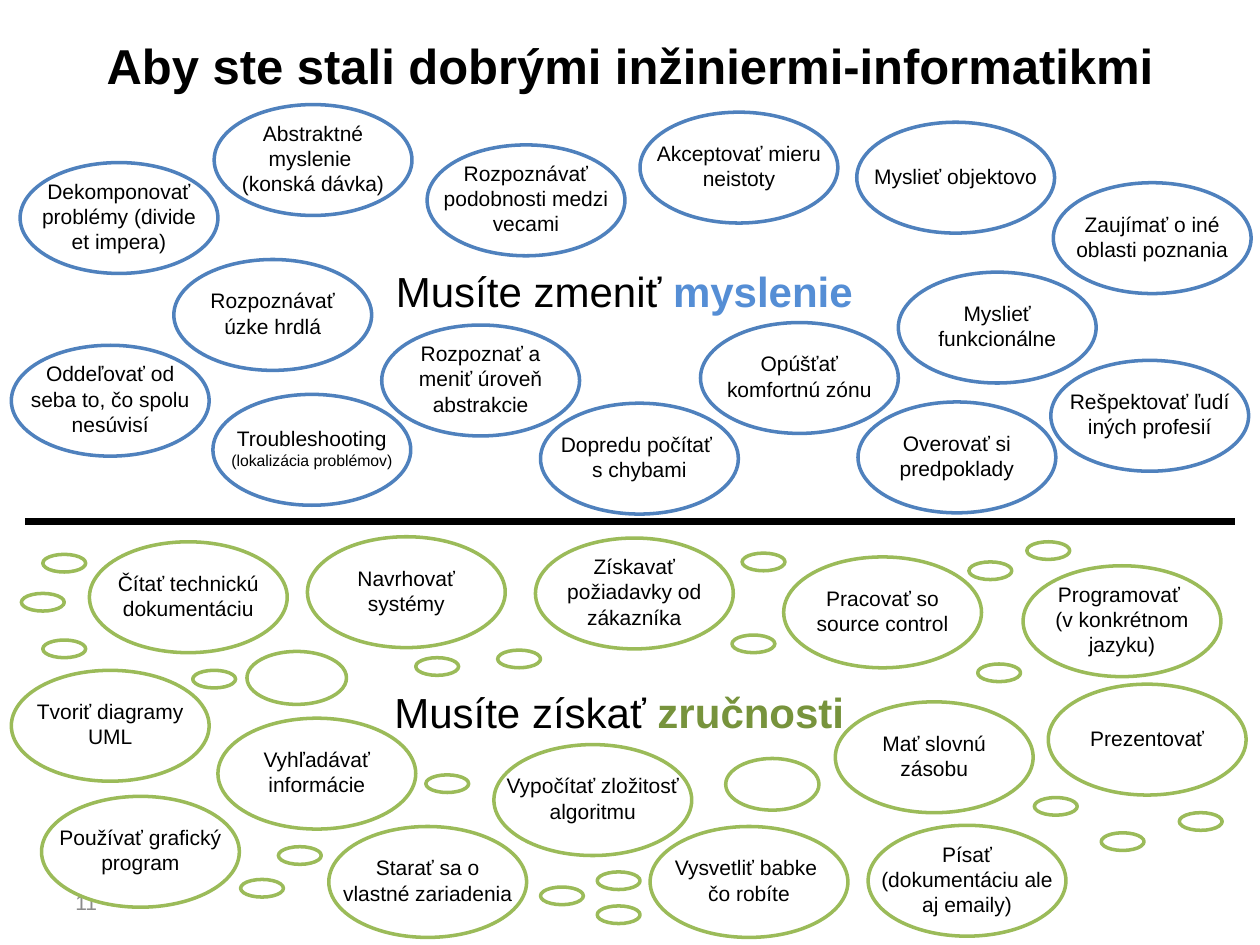
from pptx import Presentation
from pptx.dml.color import RGBColor
from pptx.enum.shapes import MSO_CONNECTOR, MSO_SHAPE
from pptx.enum.text import MSO_ANCHOR, MSO_AUTO_SIZE, PP_ALIGN
from pptx.util import Inches, Pt
from lxml.etree import SubElement
from pptx.oxml.ns import qn

BLACK, WHITE, GREY = "000000", "FFFFFF", "8C8C8C"
BLUE, GREEN = "4F81BD", "9BBB59"
BUBBLE_WIDTH, BUBBLE_HEIGHT = 1.57, 0.88
LINE_HEIGHT, TEXT_MARGINS, TEXT_LIFT = 0.2, 0.1, 0.015

# Left, top, number of text lines, text
THINKING = [
    (0.16, 1.29, 3, "Dekomponovať problémy (divide et impera)"),
    (3.03, 2.58, 3, "Rozpoznať a meniť úroveň abstrakcie"),
    (3.39, 1.15, 3, "Rozpoznávať podobnosti medzi vecami"),
    (6.8, 0.97, 1, "Myslieť objektovo"),
    (7.13, 2.16, 2, "Myslieť funkcionálne"),
    (6.81, 3.19, 2, "Overovať si predpoklady"),
    (1.38, 2.06, 2, "Rozpoznávať úzke hrdlá"),
    (8.36, 1.45, 2, "Zaujímať o iné oblasti poznania"),
    (1.7, 0.83, 3, "Abstraktné myslenie \n(konská dávka)"),
    (5.08, 0.89, 2, "Akceptovať mieru neistoty"),
    (8.34, 2.86, 2, "Rešpektovať ľudí iných profesií"),
    (5.56, 2.56, 2, "Opúšťať komfortnú zónu"),
    (0.09, 2.74, 3, "Oddeľovať od seba to, čo spolu nesúvisí"),
    (4.29, 3.2, 2, "Dopredu počítať \ns chybami"),
]
SKILLS = [
    (8.12, 4.49, 3, "Programovať \n(v konkrétnom jazyku)"),
    (4.25, 4.27, 3, "Získavať požiadavky od zákazníka"),
    (3.92, 5.91, 2, "Vypočítať zložitosť algoritmu"),
    (6.89, 6.55, 3, "Písať (dokumentáciu ale aj emaily)"),
    (0.71, 4.3, 2, "Čítať technickú dokumentáciu"),
    (0.09, 5.32, 2, "Tvoriť diagramy UML"),
    (1.73, 5.7, 2, "Vyhľadávať informácie"),
    (6.22, 4.42, 2, "Pracovať so source control"),
    (0.33, 6.32, 2, "Používať grafický program"),
    (2.44, 4.26, 2, "Navrhovať systémy"),
    (8.32, 5.43, 1, "Prezentovať"),
    (2.61, 6.56, 2, "Starať sa o vlastné zariadenia"),
    (5.16, 6.56, 2, "Vysvetliť babke \nčo robíte"),
    (6.63, 5.57, 2, "Mať slovnú zásobu"),
]
MEDIUM_BUBBLES = [(1.96, 5.17, 0.79, 0.42), (5.76, 6.02, 0.74, 0.41)]
SMALL_BUBBLES = [
    (4.74, 6.92), (4.29, 7.04), (4.74, 7.19), (7.76, 5.27), (8.21, 6.33),
    (8.74, 6.61), (9.36, 6.45), (5.81, 5.04), (3.95, 5.16), (2.21, 6.72),
    (1.91, 6.98), (1.53, 5.32), (3.38, 6.15), (0.34, 5.08), (0.17, 4.71),
    (0.34, 4.4), (3.3, 5.22), (5.89, 4.39), (7.69, 4.46), (8.15, 4.3),
]


def color(value):
    return RGBColor.from_string(value)


def style_span(span, size, hex_color=BLACK, bold=False):
    span.font.name = "Arial"
    span.font.size = Pt(size)
    span.font.bold = bold
    span.font.color.rgb = color(hex_color)


def add_text(shapes, area, text, size, hex_color=BLACK, bold=False,
             align=PP_ALIGN.CENTER, anchor=MSO_ANCHOR.MIDDLE, grow=False):
    box = shapes.add_textbox(*map(Inches, area))
    frame = box.text_frame
    frame.word_wrap = True
    frame.vertical_anchor = anchor
    frame.auto_size = MSO_AUTO_SIZE.SHAPE_TO_FIT_TEXT if grow else MSO_AUTO_SIZE.NONE
    frame.text = text
    for para in frame.paragraphs:
        para.alignment = align
        for span in para.runs:
            style_span(span, size, hex_color, bold)
    return box


def add_ending(box, text, size, hex_color=BLACK, bold=False):
    span = box.text_frame.paragraphs[-1].add_run()
    span.text = text
    style_span(span, size, hex_color, bold)


def add_ellipse(shapes, area, line_color):
    ellipse = shapes.add_shape(MSO_SHAPE.OVAL, *map(Inches, area))
    ellipse.shadow.inherit = False
    ellipse.fill.solid()
    ellipse.fill.fore_color.rgb = color(WHITE)
    ellipse.line.color.rgb = color(line_color)
    ellipse.line.width = Pt(2)


def add_bubble(page, left, top, lines, text, line_color):
    group = page.shapes.add_group_shape()
    add_ellipse(group.shapes, (left, top, BUBBLE_WIDTH, BUBBLE_HEIGHT), line_color)
    height = TEXT_MARGINS + LINE_HEIGHT * lines
    text_top = top + (BUBBLE_HEIGHT - height) / 2 - TEXT_LIFT
    return add_text(group.shapes, (left, text_top, BUBBLE_WIDTH, height),
                    text, 12, grow=True)


def add_heading(page, left, top, text, keyword, hex_color):
    box = add_text(page.shapes, (left, top, 4.17, 0.5), text, 24,
                   anchor=MSO_ANCHOR.TOP, grow=True)
    add_ending(box, keyword, 24, hex_color, bold=True)


def add_divider(page, left, right, y):
    line = page.shapes.add_connector(
        MSO_CONNECTOR.STRAIGHT, *map(Inches, (left, y, right, y)))
    line.line.color.rgb = color(BLACK)
    line.line.width = Pt(4)
    SubElement(line._element.spPr, qn("a:effectLst"))


def main():
    deck = Presentation()
    deck.slide_width, deck.slide_height = Inches(10), Inches(7.5)
    page = deck.slides.add_slide(deck.slide_layouts[6])

    # Title, page number and the two halves
    add_text(page.shapes, (0.5, 0.05, 9, 0.93),
             "Aby ste stali dobrými inžiniermi-informatikmi", 28, bold=True)
    add_text(page.shapes, (0.5, 6.96, 2.33, 0.4), "11", 12, GREY,
             align=PP_ALIGN.LEFT)
    add_divider(page, 0.2, 9.8, 4.14)
    add_heading(page, 2.83, 5.4, "Musíte získať ", "zručnosti", "77933C")
    add_heading(page, 2.87, 2.06, "Musíte zmeniť ", "myslenie", "558ED5")

    # Labelled bubbles
    for bubbles, line_color in ((SKILLS, GREEN), (THINKING, BLUE)):
        for bubble in bubbles:
            add_bubble(page, *bubble, line_color)
    trouble = add_bubble(page, 1.69, 3.13, 2, "Troubleshooting ", BLUE)
    add_ending(trouble, "(lokalizácia problémov)", 9)

    # Empty bubbles
    group = page.shapes.add_group_shape()
    small = [(left, top, 0.34, 0.14) for left, top in SMALL_BUBBLES]
    for area in MEDIUM_BUBBLES + small:
        add_ellipse(group.shapes, area, GREEN)

    deck.save("out.pptx")


main()
